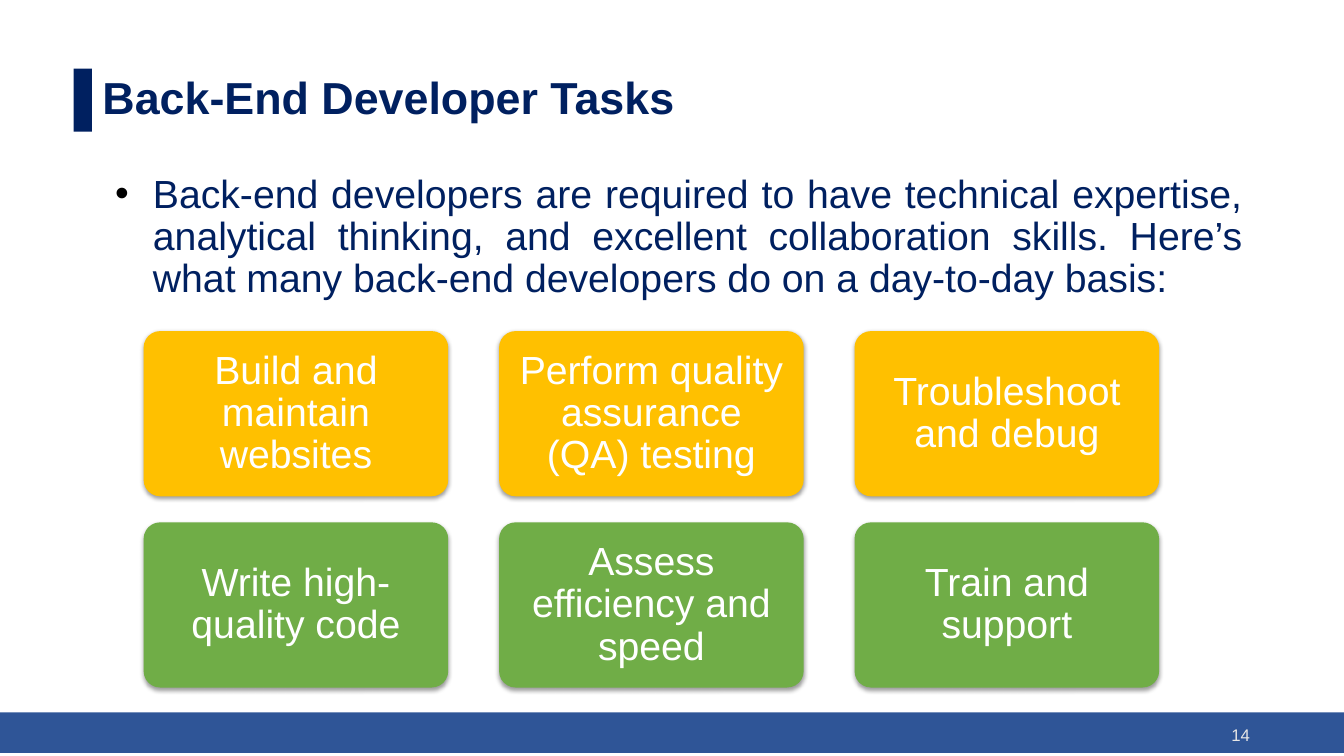
from lxml import etree
from pptx import Presentation
from pptx.dml.color import RGBColor
from pptx.enum.shapes import MSO_SHAPE as Shape
from pptx.enum.text import MSO_ANCHOR as Anchor, MSO_AUTO_SIZE as AutoSize, PP_ALIGN as Align
from pptx.oxml.ns import qn
from pptx.util import Pt

# Content
TITLE = "Back-End Developer Tasks"
INTRO = ("Back-end developers are required to have technical expertise, "
         "analytical thinking, and excellent collaboration skills. "
         "Here’s what many back-end developers do on a day-to-day basis:")
TASK_ROWS = [
    ("amber", ["Build and maintain websites",
               "Perform quality assurance (QA) testing",
               "Troubleshoot and debug"]),
    ("green", ["Write high-quality code",
               "Assess efficiency and speed",
               "Train and support"]),
]
PAGE_NUMBER = "14"

COLORS = {"navy": "002060", "blue": "2F5597", "amber": "FFC000", "green": "70AD47",
          "white": "FFFFFF", "pale": "E7E6E6", "black": "000000"}

# Layout in points
PAGE_WIDTH, PAGE_HEIGHT = 960, 540
CARD_LEFT, CARD_TOP = 102.6, 236.5
CARD_WIDTH, CARD_HEIGHT = 217.6, 118
COLUMN_STEP, ROW_STEP = 253.9, 136.6
CARD_INSETS = (8, 8)  # the rounded corners add about 3.5 more on each side

# Text formats
TITLE_FORMAT = {"size": Pt(32), "bold": True}
BODY_FORMAT = {"size": Pt(28), "bold": False}
NUMBER_FORMAT = {"size": Pt(12), "bold": False}


def color(name):
    return RGBColor.from_string(COLORS[name])


def place(box, left, top, width, height):
    box.left, box.top, box.width, box.height = map(Pt, (left, top, width, height))


def add_block(page, kind, bounds, fill):
    block = page.shapes.add_shape(kind, *map(Pt, bounds))
    block.shadow.inherit = False
    block.fill.solid()
    block.fill.fore_color.rgb = color(fill)
    block.line.fill.background()
    return block


def write(box, text, ink, font_format, align, anchor=Anchor.MIDDLE,
          insets=(7.2, 3.6), spacing=0.9):
    frame = box.text_frame
    side, edge = map(Pt, insets)
    frame_format = {"word_wrap": True, "auto_size": AutoSize.NONE,
                    "vertical_anchor": anchor,
                    "margin_left": side, "margin_right": side,
                    "margin_top": edge, "margin_bottom": edge}
    for name, value in frame_format.items():
        setattr(frame, name, value)
    para = frame.paragraphs[0]
    para.alignment, para.line_spacing = align, spacing
    span = para.add_run()
    span.text = text
    span.font.name = "Arial"
    span.font.color.rgb = color(ink)
    for name, value in font_format.items():
        setattr(span.font, name, value)
    return para


def add_bullet(para, ink):
    props = para._p.get_or_add_pPr()
    props.set("marL", str(Pt(36)))
    props.set("indent", str(Pt(-27)))
    tint = etree.SubElement(props, qn("a:buClr"))
    etree.SubElement(tint, qn("a:srgbClr"), val=COLORS[ink])
    etree.SubElement(props, qn("a:buFont"), typeface="Arial")
    etree.SubElement(props, qn("a:buChar"), char="•")


def add_soft_shadow(block):
    effects = block._element.spPr.find(qn("a:effectLst"))
    shadow = etree.SubElement(effects, qn("a:outerShdw"), blurRad=str(Pt(3.1)),
                              dist=str(Pt(1.6)), dir="5400000", rotWithShape="0")
    tint = etree.SubElement(shadow, qn("a:srgbClr"), val=COLORS["black"])
    etree.SubElement(tint, qn("a:alpha"), val="38000")


def main():
    deck = Presentation()
    deck.slide_width, deck.slide_height = Pt(PAGE_WIDTH), Pt(PAGE_HEIGHT)
    page = deck.slides.add_slide(deck.slide_layouts[5])

    # Footer band and title marker
    add_block(page, Shape.RECTANGLE, (0, 508.8, PAGE_WIDTH, 29), "blue")
    add_block(page, Shape.RECTANGLE, (52.6, 49, 13, 45), "navy")

    # Title
    title = page.shapes.title
    place(title, 66, 49, 802, 45)
    title.fill.solid()
    title.fill.fore_color.rgb = color("white")
    write(title, TITLE, "navy", TITLE_FORMAT, Align.LEFT)

    # Introduction
    intro = page.shapes.add_textbox(Pt(66.2), Pt(121), Pt(828), Pt(100))
    para = write(intro, INTRO, "navy", BODY_FORMAT, Align.JUSTIFY, Anchor.TOP)
    para.space_before = Pt(10)
    add_bullet(para, "black")

    # Page number
    number = page.shapes.add_textbox(Pt(684), Pt(510.5), Pt(216), Pt(29))
    write(number, PAGE_NUMBER, "pale", NUMBER_FORMAT, Align.RIGHT, spacing=1.0)

    # Task cards
    for row, (fill, tasks) in enumerate(TASK_ROWS):
        for column, task in enumerate(tasks):
            bounds = (CARD_LEFT + column * COLUMN_STEP, CARD_TOP + row * ROW_STEP,
                      CARD_WIDTH, CARD_HEIGHT)
            card = add_block(page, Shape.ROUNDED_RECTANGLE, bounds, fill)
            card.adjustments[0] = 0.1
            add_soft_shadow(card)
            write(card, task, "white", BODY_FORMAT, Align.CENTER, insets=CARD_INSETS)

    deck.save("out.pptx")


if __name__ == "__main__":
    main()
